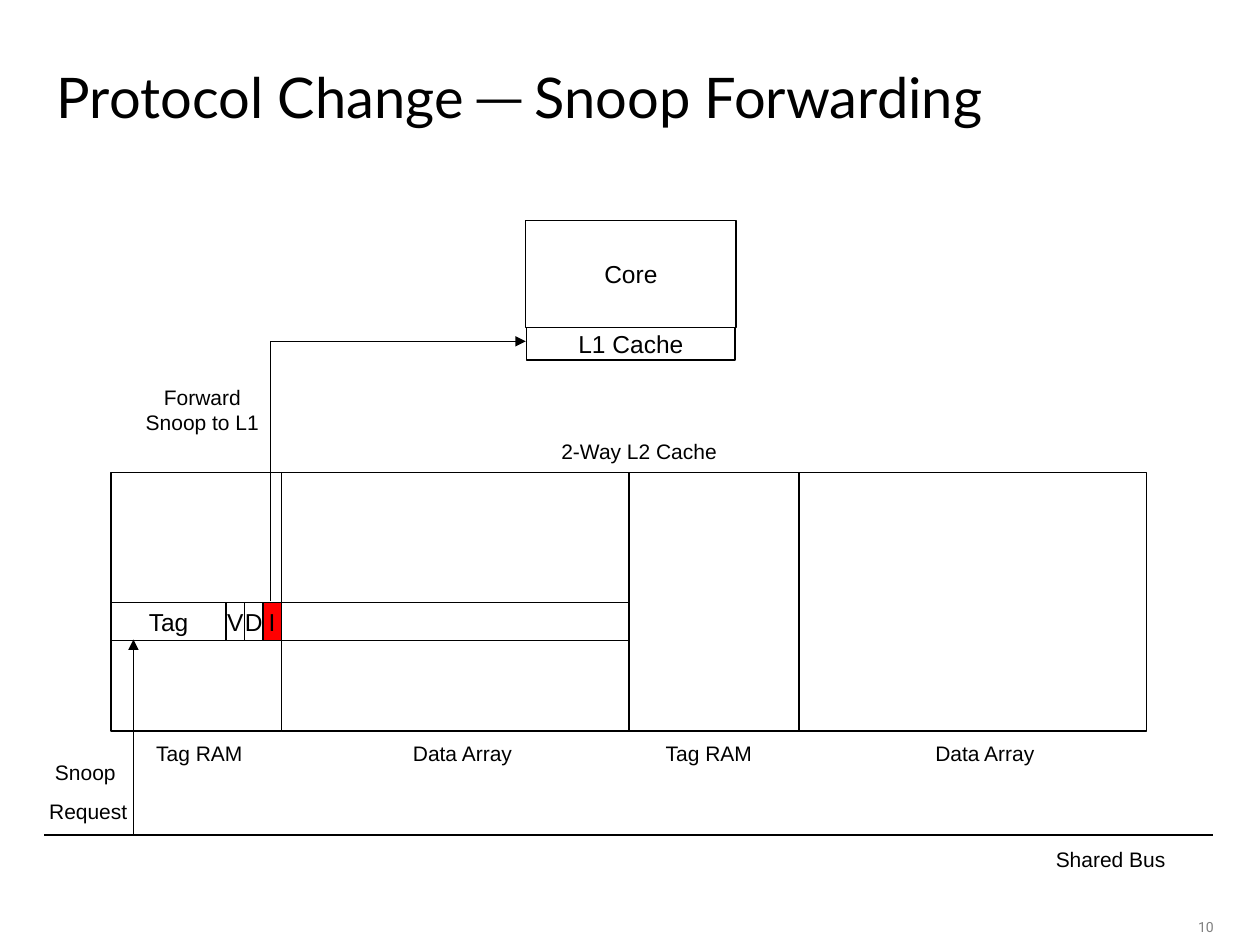
from lxml import etree
from pptx import Presentation
from pptx import util as u
from pptx.dml.color import RGBColor
from pptx.enum import shapes, text
from pptx.oxml.ns import qn

COLORS = {"ink": "000000", "hit": "FF0000", "muted": "808080"}
LABEL_HEIGHT = 0.76


def color(name):
    """Return the named colour."""
    return RGBColor.from_string(COLORS[name])


def write(frame, words, size=12, font="Arial", ink="ink", align="CENTER",
          anchor="TOP", wrap=True, gap=0):
    """Fill a text frame with one paragraph per line of words."""
    frame.word_wrap = wrap
    frame.vertical_anchor = getattr(text.MSO_ANCHOR, anchor)
    for index, line in enumerate(words.split("\n")):
        para = frame.add_paragraph() if index else frame.paragraphs[0]
        para.alignment = getattr(text.PP_ALIGN, align)
        if index:
            para.space_before = u.Pt(gap)
        span = para.add_run()
        span.text = line
        span.font.size = u.Pt(size)
        span.font.name = font
        span.font.color.rgb = color(ink)


def add_label(page, words, left, top, width, height=LABEL_HEIGHT, **form):
    """Add a text box."""
    box = page.shapes.add_textbox(u.Cm(left), u.Cm(top), u.Cm(width), u.Cm(height))
    write(box.text_frame, words, **form)


def add_block(page, left, top, width, height, words="", fill=None):
    """Add an outlined rectangle with optional words and fill."""
    box = page.shapes.add_shape(shapes.MSO_SHAPE.RECTANGLE, u.Cm(left), u.Cm(top),
                                u.Cm(width), u.Cm(height))
    box.shadow.inherit = False
    if fill:
        box.fill.solid()
        box.fill.fore_color.rgb = color(fill)
    else:
        box.fill.background()
    box.line.color.rgb = color("ink")
    box.line.width = u.Pt(0.75)
    if words:
        write(box.text_frame, words, size=14, anchor="MIDDLE", wrap=False)


def add_line(page, start, end, width=0.75, arrow=False):
    """Add a straight line, with an arrowhead at its end if wanted."""
    points = [u.Cm(value) for value in (*start, *end)]
    line = page.shapes.add_connector(shapes.MSO_CONNECTOR.STRAIGHT, *points)
    line.line.color.rgb = color("ink")
    line.line.width = u.Pt(width)
    if arrow:
        etree.SubElement(line.line._get_or_add_ln(), qn("a:tailEnd"), type="triangle")
    etree.SubElement(line._element.spPr, qn("a:effectLst"))


def add_title(page, left, top, width, height):
    """Place and format the title."""
    title = page.shapes.title
    title.left, title.top = u.Cm(left), u.Cm(top)
    title.width, title.height = u.Cm(width), u.Cm(height)
    write(title.text_frame, "Protocol Change ─ Snoop Forwarding", size=32,
          font="Lato", align="LEFT", anchor="MIDDLE")


def add_core(page, left, top, width, height):
    """Draw the core with its L1 cache below."""
    core_height = height - 0.66
    add_block(page, left, top, width, core_height, "Core")
    add_block(page, left + 0.02, top + core_height, width - 0.04, 0.66, "L1 Cache")


def add_way(page, left, top, width, height, label_lefts):
    """Draw one cache way: tag RAM, data array and their labels."""
    tag_width = 3.43
    add_block(page, left, top, tag_width, height)
    add_block(page, left + tag_width, top, width - tag_width, height)
    labels = zip(("Tag RAM", "Data Array"), label_lefts, (3.2, 4.27))
    for words, offset, label_width in labels:
        add_label(page, words, left + offset, top + height + 0.06, label_width)


def add_entry(page, left, top, width, height):
    """Draw one cache line with its tag, state bits and data."""
    fields = [("Tag", 2.32, None), ("V", 0.37, None), ("D", 0.37, None),
              ("I", 0.37, "hit"), ("", width - 3.43, None)]
    for words, field_width, fill in fields:
        add_block(page, left, top, field_width, height, words, fill)
        left += field_width


def add_l2_cache(page, left, top, width, height):
    """Draw the two-way L2 cache with the snooped entry."""
    way_width = width / 2
    add_way(page, left, top, way_width, height, (0.18, 4.95))
    add_way(page, left + way_width, top, way_width, height, (0.01, 5.04))
    add_entry(page, left, top + 2.62, way_width, LABEL_HEIGHT)
    add_label(page, "2-Way L2 Cache", left + 7.7, top - 0.82, 5.89)


def add_bus(page, left, top, width, height):
    """Draw the shared bus and the snoop request rising from it."""
    bus = top + height
    add_line(page, (left, bus), (left + width, bus), width=1.25)
    add_line(page, (left + 1.8, bus), (left + 1.8, top), arrow=True)
    add_label(page, "Snoop \nRequest", left - 0.15, bus - 1.65, 2.08, 1.55, gap=7.5)
    add_label(page, "Shared Bus", left + 19.71, bus + 0.1, 3.58)


def add_forward(page, left, top, width, height):
    """Draw the path that forwards the snoop to L1."""
    add_line(page, (left, top), (left + width, top), arrow=True)
    add_line(page, (left, top + height), (left, top))
    add_label(page, "Forward Snoop to L1", left - 3.02, top + 0.74, 3.3, 1.27)


def main():
    """Build and save the deck."""
    deck = Presentation()
    deck.slide_width, deck.slide_height = u.Cm(25.4), u.Cm(19.05)
    page = deck.slides.add_slide(deck.slide_layouts[5])
    add_title(page, 0.89, 0.89, 22.86, 2.11)
    add_core(page, 10.6, 4.45, 4.24, 2.81)
    add_l2_cache(page, 2.24, 9.53, 20.88, 5.21)
    add_bus(page, 0.89, 12.89, 23.57, 3.95)
    add_forward(page, 5.45, 6.88, 5.15, 5.24)
    add_label(page, "10", 23.04, 18.39, 1.68, 0.43, size=8, font="Roboto",
              ink="muted", align="RIGHT")
    deck.save("out.pptx")


if __name__ == "__main__":
    main()
